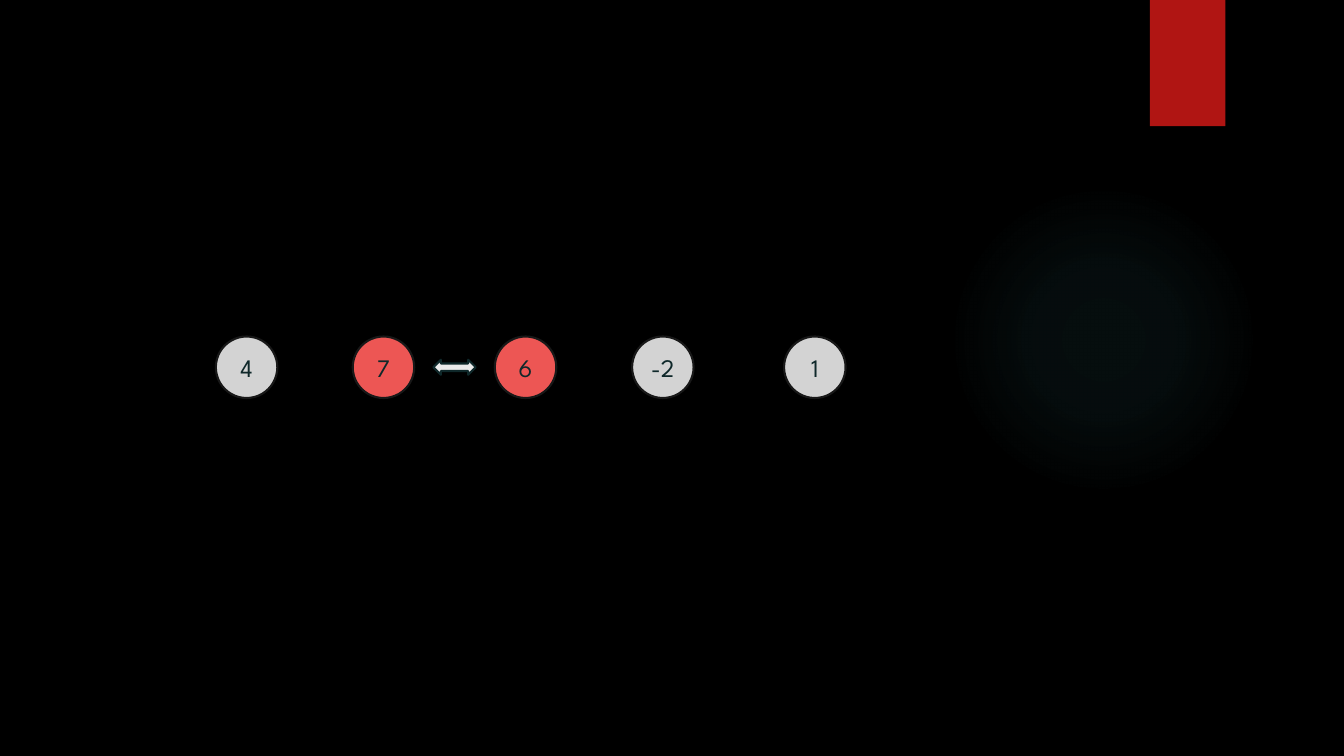
from lxml import etree
from pptx import Presentation
from pptx.dml.color import RGBColor
from pptx.enum.shapes import MSO_SHAPE as Preset
from pptx.enum.text import MSO_ANCHOR, PP_ALIGN
from pptx.oxml import parse_xml
from pptx.oxml.ns import nsdecls, qn
from pptx.util import Cm, Pt

COLORS = {
    "background": "000000",
    "glow": "50B9C1",
    "ribbon": "B01513",
    "plain": "D3D3D3",
    "compared": "ED5654",
    "outline": "181818",
    "ink": "0F282A",
    "arrow": "EBEBEB",
}
FONT = "League Spartan"

# value, fill, left edge in cm
NUMBERS = [
    ("4", "plain", 5.44),
    ("7", "compared", 8.89),
    ("6", "compared", 12.47),
    ("-2", "plain", 15.93),
    ("1", "plain", 19.76),
]
CIRCLE_TOP, CIRCLE_SIZE = 8.48, 1.55
ARROW_WIDTH, ARROW_HEIGHT = 1.07, 0.38
GLOW_BOX = (23.9, 4.65, 7.82, 7.82)
GLOW_STOPS = [(0, 7), (36, 6), (69, 0)]  # position %, opacity %
RIBBON_BOX = (28.98, 0, 1.9, 3.18)


def color(name):
    return RGBColor.from_string(COLORS[name])


def add_shape(slide, preset, box, fill=None, line=None):
    """Add a shadowless shape; box is left, top, width, height in cm."""
    shape = slide.shapes.add_shape(preset, *(Cm(length) for length in box))
    shape.shadow.inherit = False
    if fill:
        shape.fill.solid()
        shape.fill.fore_color.rgb = color(fill)
    else:
        shape.fill.background()
    if line:
        shape.line.color.rgb = color(line)
        shape.line.width = Pt(1.5)
    else:
        shape.line.fill.background()
    return shape


def add_glow(slide):
    shape = add_shape(slide, Preset.OVAL, GLOW_BOX)
    stops = "".join(
        f'<a:gs pos="{position * 1000}"><a:srgbClr val="{COLORS["glow"]}">'
        f'<a:alpha val="{opacity * 1000}"/></a:srgbClr></a:gs>'
        for position, opacity in GLOW_STOPS
    )
    gradient = parse_xml(
        f'<a:gradFill {nsdecls("a")} rotWithShape="1"><a:gsLst>{stops}</a:gsLst>'
        '<a:path path="circle"><a:fillToRect l="50000" t="50000" r="50000" b="50000"/>'
        "</a:path></a:gradFill>"
    )
    properties = shape.element.spPr
    properties.replace(properties.find(qn("a:noFill")), gradient)


def add_ribbon(slide):
    shape = add_shape(slide, Preset.RECTANGLE, RIBBON_BOX, "ribbon")
    effects = shape.element.spPr.find(qn("a:effectLst"))
    shadow = etree.SubElement(
        effects, qn("a:outerShdw"),
        blurRad=str(Pt(3)), dist=str(Pt(2)), dir="5400000", rotWithShape="0",
    )
    shade = etree.SubElement(shadow, qn("a:srgbClr"), val="000000")
    etree.SubElement(shade, qn("a:alpha"), val="45000")


def add_number(slide, value, fill, left):
    box = (left, CIRCLE_TOP, CIRCLE_SIZE, CIRCLE_SIZE)
    frame = add_shape(slide, Preset.OVAL, box, fill, "outline").text_frame
    frame.margin_left = frame.margin_right = 0
    frame.vertical_anchor = MSO_ANCHOR.MIDDLE
    paragraph = frame.paragraphs[0]
    paragraph.text = value
    paragraph.alignment = PP_ALIGN.CENTER
    paragraph.font.name = FONT
    paragraph.font.size = Pt(18)
    paragraph.font.color.rgb = color("ink")


def add_swap_arrow(slide):
    """Centre the arrow between the two compared numbers."""
    first, second = (left for _, fill, left in NUMBERS if fill == "compared")
    left = (first + second + CIRCLE_SIZE - ARROW_WIDTH) / 2
    top = CIRCLE_TOP + (CIRCLE_SIZE - ARROW_HEIGHT) / 2
    box = (left, top, ARROW_WIDTH, ARROW_HEIGHT)
    add_shape(slide, Preset.LEFT_RIGHT_ARROW, box, "arrow", "ink")


def main():
    presentation = Presentation()
    presentation.slide_width = Cm(33.87)
    presentation.slide_height = Cm(19.05)
    slide = presentation.slides.add_slide(presentation.slide_layouts[6])
    slide.background.fill.solid()
    slide.background.fill.fore_color.rgb = color("background")

    add_glow(slide)
    add_ribbon(slide)
    for value, fill, left in NUMBERS:
        add_number(slide, value, fill, left)
    add_swap_arrow(slide)
    presentation.save("out.pptx")


if __name__ == "__main__":
    main()
